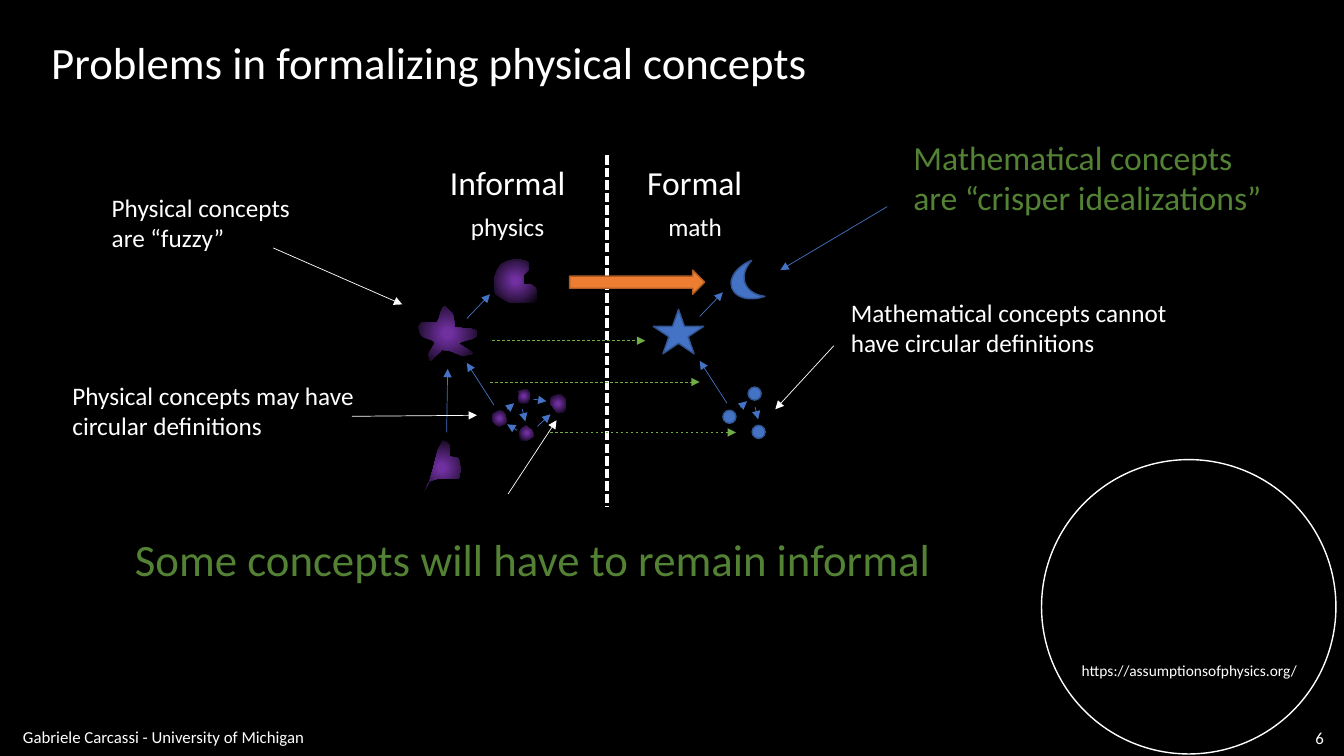
from lxml import etree
from pptx import Presentation
from pptx.dml.color import RGBColor
from pptx.enum.dml import MSO_LINE
from pptx.enum.shapes import MSO_CONNECTOR, MSO_SHAPE as Preset
from pptx.enum.text import MSO_ANCHOR as Anchor, MSO_AUTO_SIZE as AutoSize, PP_ALIGN as Align
from pptx.oxml import parse_xml
from pptx.oxml.ns import nsdecls, qn
from pptx.util import Inches, Pt

# The grid has ten columns or rows to the inch
COLUMNS, ROWS = 133.3, 75

COLORS = {
    "black": "000000", "white": "FFFFFF", "green": "548235",
    "blue": "4472C4", "dark blue": "325491",
    "orange": "ED7D31", "dark orange": "AF5C24", "light green": "70AD47",
    "purple": "7030A0", "dark purple": "3C1A56",
}
FUZZY_STOPS = [(12, "purple"), (56, "dark purple"), (100, "black")]

# Outlines of the informal concepts, as (column, row) points
FUZZY_CONCEPTS = [
    # bitten disc
    [(51.5, 25.7), (50.7, 25.8), (50.3, 25.9), (49.7, 26.2), (49.3, 26.8), (49, 27.6),
     (49.1, 29.1), (49.3, 29.3), (50.1, 29.8), (50.5, 30), (53.1, 30), (53.3, 29.8),
     (53.2, 28.7), (53.1, 28.5), (52.6, 28.2), (52, 28.2), (51.9, 28), (51.9, 27.3),
     (52.1, 27.1), (52.4, 26.8), (52.4, 26), (52.2, 25.9), (51.8, 25.8)],
    # soft star
    [(45.1, 32.2), (44.9, 31.1), (44.6, 30.8), (44.2, 30.4), (44, 30.4), (43.8, 30.7),
     (43.5, 31.7), (43.3, 32), (41.8, 32), (41.5, 32.4), (41.7, 33.2), (42.1, 33.5),
     (43, 33.8), (43.1, 34.1), (42.8, 34.6), (42.5, 35.1), (42.6, 35.8), (42.9, 35.7),
     (43.1, 35.4), (43.7, 34.9), (43.8, 34.7), (44.6, 34.8), (45.1, 35), (45.8, 35.3),
     (46.5, 35.2), (46.8, 35.2), (46.9, 35), (46.5, 34.7), (46, 34.4), (45.5, 34.1),
     (45.8, 33.9), (46.9, 33.6), (47.3, 33.4), (47.3, 32.8), (46.7, 32.6), (45.1, 32.5)],
    # four small blobs
    [(49.4, 40.8), (48.8, 41.1), (48.8, 41.7), (49.1, 42.1), (49.5, 42.3), (50.1, 42.1),
     (50.3, 41.9), (50.1, 41.1), (50, 40.9), (49.6, 40.7)],
    [(51.3, 38.8), (51.9, 38.7), (52.1, 38.6), (52.4, 38.7), (52.6, 39.1), (52.4, 40),
     (52.2, 40), (51.5, 40), (51.4, 39.8), (51.5, 39)],
    [(52.2, 42.2), (51.7, 42.5), (51.5, 42.9), (51.6, 43.7), (52.3, 43.7), (52.6, 43.5),
     (53, 43.3), (52.8, 42.7), (52.4, 42.4)],
    [(54.6, 40.1), (54.6, 39.4), (55.1, 39.2), (55.6, 39.1), (55.8, 39.2), (56.1, 39.6),
     (56.1, 40.7), (55.9, 40.9), (55.5, 41), (55.2, 40.9), (54.7, 40.2)],
    # spike
    [(43.9, 43.7), (43.4, 44.7), (42.9, 46.7), (42.5, 48), (42.2, 48.6), (41.9, 49.1),
     (42.2, 48.5), (42.4, 48), (42.7, 47.7), (43.4, 47.5), (45.5, 47.5), (45.7, 46.6),
     (45.5, 45.5), (45.3, 45.4), (44.6, 45.3), (44.6, 44.2), (44.4, 43.9)],
]

# Relations found on both sides; the formal side is shifted
SHARED_RELATIONS = [
    (46.3, 31.6, 48.6, 29.2), (49, 40.2, 46.3, 36),
    (51.8, 40.6, 52.1, 41.8), (50.3, 40.6, 51, 40),
]
FORMAL_SHIFT = (23.1, -0.2)
INFORMAL_RELATIONS = [
    (53.3, 42.3, 54.6, 41.1), (44.3, 42.9, 44.4, 36.6),
    (52.9, 39.6, 54.2, 39.8), (51.3, 42.7, 50.3, 42.1),
]
MAPPINGS = [(48.6, 37.9, 69.4, 37.9), (48.8, 33.8, 64, 33.8), (54.6, 42.9, 73, 42.9)]
CALLOUT_ARROWS = [
    (27.1, 24.6, 39.9, 30.2), (34.9, 41.3, 47.3, 41.2),
    (82.7, 34.3, 76.9, 40.6), (50.4, 49, 55.2, 41.7),
]


def grid(*cells):
    return [Inches(cell / 10) for cell in cells]


def color(name):
    return RGBColor.from_string(COLORS[name])


def apply_format(target, values):
    for name, value in values.items():
        setattr(target, name, value)


def add_text(slide, text, cells, size, ink="white", wrap=True, align=Align.LEFT, anchor=Anchor.TOP):
    box = slide.shapes.add_textbox(*grid(*cells))
    frame = box.text_frame
    apply_format(frame, {"word_wrap": wrap, "vertical_anchor": anchor, "auto_size": AutoSize.NONE})
    paragraph = frame.paragraphs[0]
    paragraph.alignment = align
    run = paragraph.add_run()
    run.text = text
    apply_format(run.font, {"name": "Calibri", "size": Pt(size)})
    run.font.color.rgb = color(ink)


def add_preset(slide, preset, cells, fill, line, rotation=0):
    shape = slide.shapes.add_shape(preset, *grid(*cells))
    shape.shadow.inherit = False
    shape.rotation = rotation
    if fill:
        shape.fill.solid()
        shape.fill.fore_color.rgb = color(fill)
    else:
        shape.fill.background()
    shape.line.color.rgb = color(line)
    shape.line.width = Pt(1)


def add_line(slide, ends, ink, width=0.5, dash=None, arrow=True):
    connector = slide.shapes.add_connector(MSO_CONNECTOR.STRAIGHT, *grid(*ends))
    apply_format(connector.line, {"width": Pt(width), "dash_style": dash})
    connector.line.color.rgb = color(ink)
    if arrow:
        etree.SubElement(connector.line._get_or_add_ln(), qn("a:tailEnd"), type="triangle")
    etree.SubElement(connector._element.spPr, qn("a:effectLst"))


def add_fuzzy_concept(slide, points):
    start, *others = [grid(*point) for point in points]
    builder = slide.shapes.build_freeform(*start)
    builder.add_line_segments(others, close=True)
    shape = builder.convert_to_shape()
    shape.shadow.inherit = False
    shape.line.fill.background()
    shape.fill.background()
    # Swap the empty fill for a round gradient that fades into the background
    stops = "".join(
        f'<a:gs pos="{share * 1000}"><a:srgbClr val="{COLORS[name]}"/></a:gs>'
        for share, name in FUZZY_STOPS)
    gradient = parse_xml(
        f'<a:gradFill {nsdecls("a")} rotWithShape="1"><a:gsLst>{stops}</a:gsLst><a:path path="circle">'
        '<a:fillToRect l="50000" t="50000" r="50000" b="50000"/></a:path></a:gradFill>')
    properties = shape._element.spPr
    properties.replace(properties.find(qn("a:noFill")), gradient)


def add_frame(slide):
    add_preset(slide, Preset.OVAL, (103.3, 45.6, 29.2, 29.2), None, "white")
    add_text(slide, "https://assumptionsofphysics.org/", (106.3, 65.1, 23.5, 2.9), 11, wrap=False)
    add_text(slide, "Gabriele Carcassi - University of Michigan", (1.3, 71.8, 65.3, 2.6), 12,
             anchor=Anchor.MIDDLE)
    add_text(slide, "6", (126.2, 71.9, 6.1, 2.5), 12, align=Align.RIGHT, anchor=Anchor.MIDDLE)
    add_text(slide, "Problems in formalizing physical concepts", (4.1, 3, 77.7, 6.4), 32, wrap=False)
    add_text(slide, "Some concepts will have to remain informal", (12.4, 52.3, 81.7, 6.4), 32,
             "green", wrap=False)


def add_diagram(slide):
    # Headings of the two sides and their divider
    for text, cells, size in [
        ("Informal", (43.6, 15.6, 13.5, 5), 24), ("Formal", (63.2, 15.6, 11.4, 5), 24),
        ("physics", (45.7, 20.5, 9.3, 4), 18), ("math", (65.3, 20.5, 7.3, 4), 18),
    ]:
        add_text(slide, text, cells, size, wrap=False, align=Align.CENTER)
    add_line(slide, (60.2, 15.4, 60.2, 50.3), "white", 2.25, MSO_LINE.SQUARE_DOT, arrow=False)

    # Concepts
    for points in FUZZY_CONCEPTS:
        add_fuzzy_concept(slide, points)
    add_preset(slide, Preset.MOON, (72.5, 26.2, 2.8, 3.8), "blue", "dark blue", 339.7)
    add_preset(slide, Preset.STAR_5_POINT, (64.8, 30.7, 5, 4.4), "blue", "dark blue")
    for left, top in [(74.2, 38.4), (71.7, 40.7), (74.6, 42.2)]:
        add_preset(slide, Preset.OVAL, (left, top, 1.3, 1.3), "blue", "dark blue")

    # Relations within each side
    shift_x, shift_y = FORMAL_SHIFT
    formal = [(x1 + shift_x, y1 + shift_y, x2 + shift_x, y2 + shift_y)
              for x1, y1, x2, y2 in SHARED_RELATIONS]
    for ends in SHARED_RELATIONS + INFORMAL_RELATIONS + formal:
        add_line(slide, ends, "blue")

    # Mappings from informal to formal
    add_preset(slide, Preset.RIGHT_ARROW, (56.5, 26.8, 13.4, 2.4), "orange", "dark orange")
    for ends in MAPPINGS:
        add_line(slide, ends, "light green", dash=MSO_LINE.DASH)


def add_callouts(slide):
    for text, cells in [
        ("Physical concepts are “fuzzy”", (10.1, 18.6, 21.8, 7.1)),
        ("Physical concepts may have circular definitions", (6.2, 37.2, 32.4, 7.1)),
        ("Mathematical concepts cannot have circular definitions", (83.4, 29, 36.8, 7.1)),
    ]:
        add_text(slide, text, cells, 18)
    add_text(slide, "Mathematical concepts are “crisper idealizations”", (89.6, 13.1, 37.8, 9.1), 24, "green")
    add_line(slide, (88, 20.5, 77.4, 26.8), "blue")
    for ends in CALLOUT_ARROWS:
        add_line(slide, ends, "white")


def main():
    presentation = Presentation()
    presentation.slide_width, presentation.slide_height = grid(COLUMNS, ROWS)
    slide = presentation.slides.add_slide(presentation.slide_layouts[6])
    slide.background.fill.solid()
    slide.background.fill.fore_color.rgb = color("black")
    add_frame(slide)
    add_diagram(slide)
    add_callouts(slide)
    presentation.save("out.pptx")


if __name__ == "__main__":
    main()
